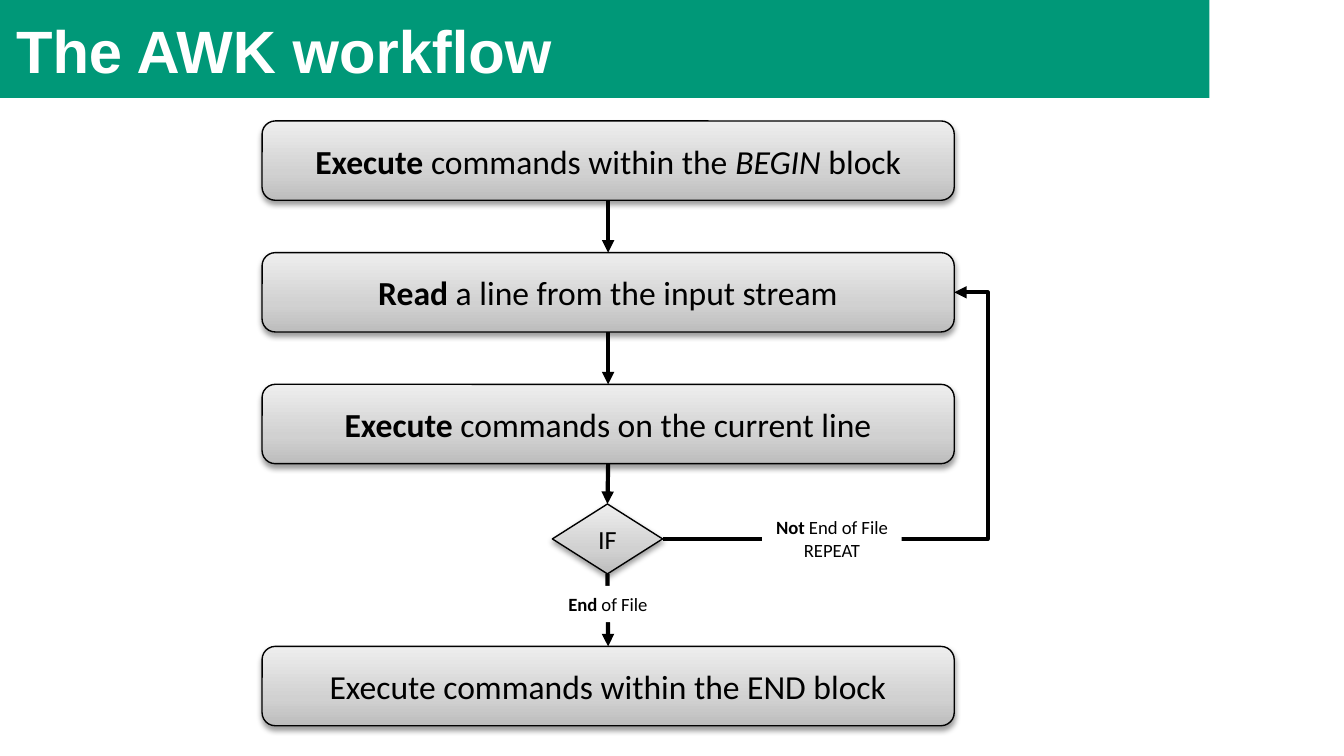
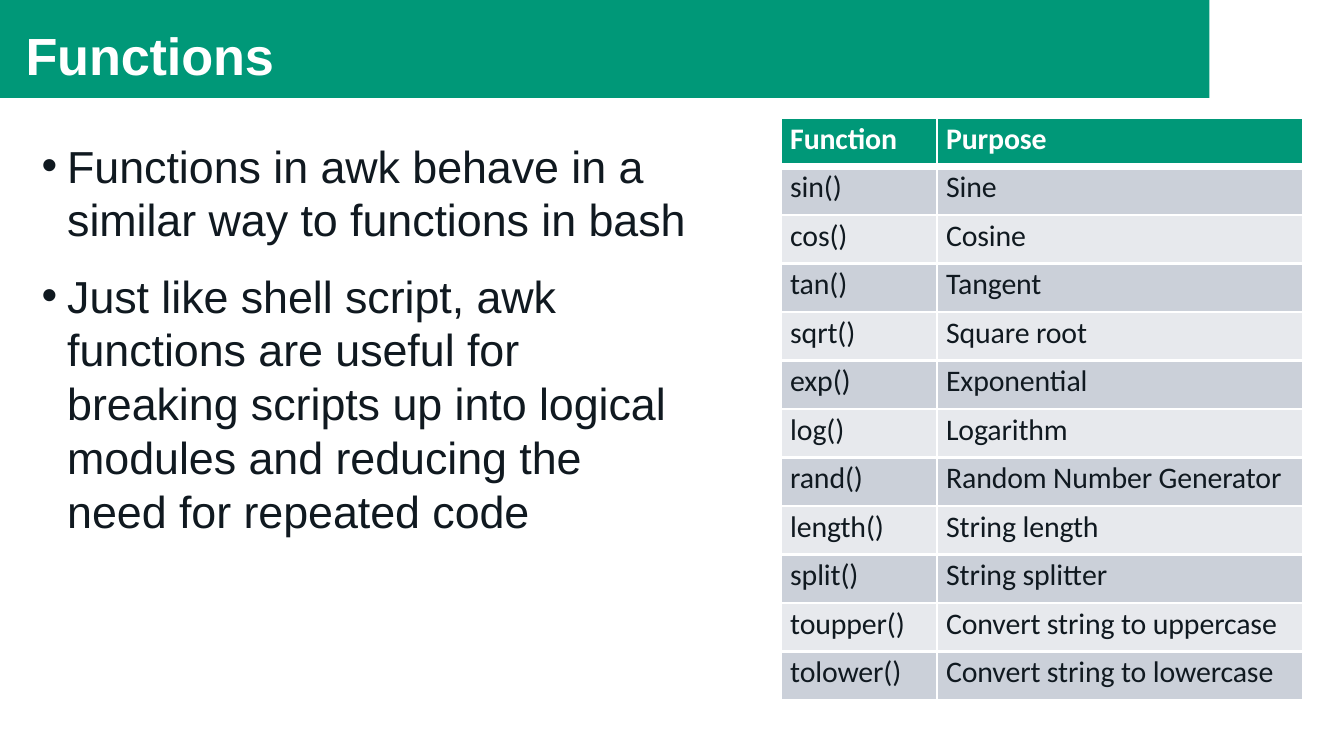
from dataclasses import dataclass
from lxml.etree import SubElement
from pptx import Presentation
from pptx.dml.color import RGBColor
from pptx.enum.shapes import MSO_CONNECTOR, MSO_SHAPE
from pptx.enum.text import MSO_ANCHOR, MSO_AUTO_SIZE, PP_ALIGN
from pptx.oxml import parse_xml
from pptx.oxml.ns import nsdecls, qn
from pptx.util import Inches, Pt


@dataclass(frozen=True)
class Theme:
    green: str = "009878"
    white: str = "FFFFFF"
    black: str = "000000"
    ink: str = "101920"
    dark: str = "CBD0D9"
    light: str = "E7E9ED"
    ramp: tuple = ((0, "BDBDBD"), (35, "D1D1D1"), (100, "EEEEEE"))
    head: str = "Arial"
    body: str = "Calibri"
    step: int = 18
    gate: int = 14
    note: int = 10
    cell: int = 16
    list: int = 24


T = Theme()

# Each paragraph is a list of (text, style); style is "", "b" or "i".
STEPS = [
    (0.9, [("Execute", "b"), (" commands within the ", ""), ("BEGIN", "i"), (" block", "")]),
    (1.88, [("Read", "b"), (" a line from the input stream", "")]),
    (2.86, [("Execute", "b"), (" commands on the current line", "")]),
    (4.81, [("Execute commands within the END block", "")]),
]
GATE = [("IF", "")]
AGAIN = [[("Not", "b"), (" End of File", "")], [("REPEAT", "")]]
DONE = [[("End", "b"), (" of File", "")]]

# Text and right indent in inches
POINTS = [
    ("Functions in awk behave in a similar way to functions in bash", 0),
    ("Just like shell script, awk functions are useful for breaking scripts up "
     "into logical modules and reducing the need for repeated code", 0.57),
]
ROWS = [
    ("Function", "Purpose"),
    ("sin()", "Sine"),
    ("cos()", "Cosine"),
    ("tan()", "Tangent"),
    ("sqrt()", "Square root"),
    ("exp()", "Exponential"),
    ("log()", "Logarithm"),
    ("rand()", "Random Number Generator"),
    ("length()", "String length"),
    ("split()", "String splitter"),
    ("toupper()", "Convert string to uppercase"),
    ("tolower()", "Convert string to lowercase"),
]
COLS = (1.16, 2.73)


def rgb(code):
    return RGBColor.from_string(code)


def paint(shape, color):
    shape.shadow.inherit = False
    shape.fill.solid()
    shape.fill.fore_color.rgb = rgb(color)
    shape.line.fill.background()


def write(frame, paras, size, font, color, align=PP_ALIGN.LEFT, tight=0):
    """Fill a frame with styled runs; tight is letter spacing in 1/100 pt."""
    for i, parts in enumerate(paras):
        para = frame.paragraphs[0] if i == 0 else frame.add_paragraph()
        para.alignment = align
        for text, style in parts:
            run = para.add_run()
            run.text = text
            run.font.size = Pt(size)
            run.font.name = font
            run.font.color.rgb = rgb(color)
            run.font.bold = style == "b"
            run.font.italic = style == "i"
            if tight:
                run.font._element.set("spc", str(tight))


def text_box(slide, left, top, width, height, inset=0.0):
    box = slide.shapes.add_textbox(Inches(left), Inches(top), Inches(width), Inches(height))
    frame = box.text_frame
    frame.word_wrap = True
    frame.auto_size = MSO_AUTO_SIZE.SHAPE_TO_FIT_TEXT
    frame.margin_left = frame.margin_right = frame.margin_bottom = 0
    frame.margin_top = Inches(inset)
    return frame


def start(deck, title, at, size, inset=0.0, before=0, tight=0):
    """Add a slide with the green band and its title."""
    slide = deck.slides.add_slide(deck.slide_layouts[6])
    band = slide.shapes.add_shape(MSO_SHAPE.RECTANGLE, 0, 0, Inches(9), Inches(0.73))
    paint(band, T.green)
    frame = text_box(slide, *at, inset)
    write(frame, [[(title, "b")]], size, T.head, T.white, tight=tight)
    frame.paragraphs[0].space_before = Pt(before)
    return slide


def node(slide, kind, at, parts, size):
    """Add a grey gradient flow shape with a soft shadow."""
    shape = slide.shapes.add_shape(kind, *map(Inches, at))
    shape.line.color.rgb = rgb(T.black)
    shape.line.width = Pt(0.75)
    shape.fill.background()
    props = shape._element.spPr
    stops = "".join(f'<a:gs pos="{pos * 1000}"><a:srgbClr val="{color}"/></a:gs>'
                    for pos, color in T.ramp)
    grad = parse_xml(f'<a:gradFill {nsdecls("a")} rotWithShape="1"><a:gsLst>{stops}</a:gsLst>'
                     '<a:lin ang="16200000" scaled="0"/></a:gradFill>')
    props.replace(props.find(qn("a:noFill")), grad)
    props.append(parse_xml(
        f'<a:effectLst {nsdecls("a")}><a:outerShdw blurRad="40000" dist="20000" dir="5400000" '
        f'rotWithShape="0"><a:srgbClr val="{T.black}"><a:alpha val="38000"/></a:srgbClr>'
        '</a:outerShdw></a:effectLst>'))
    frame = shape.text_frame
    frame.word_wrap = True
    frame.vertical_anchor = MSO_ANCHOR.MIDDLE
    write(frame, [parts], size, T.body, T.black, PP_ALIGN.CENTER)
    return shape


def arrow(slide, kind, *ends):
    link = slide.shapes.add_connector(kind, *ends)
    link.line.color.rgb = rgb(T.black)
    link.line.width = Pt(2.25)
    SubElement(link.line._get_or_add_ln(), qn("a:tailEnd"), type="triangle")
    SubElement(link._element.spPr, qn("a:effectLst"))
    return link


def label(slide, at, paras, align):
    box = slide.shapes.add_shape(MSO_SHAPE.RECTANGLE, *map(Inches, at))
    paint(box, T.white)
    frame = box.text_frame
    frame.word_wrap = False
    frame.auto_size = MSO_AUTO_SIZE.SHAPE_TO_FIT_TEXT
    frame.vertical_anchor = MSO_ANCHOR.TOP
    write(frame, paras, T.note, T.body, T.black, align)


def flow(deck):
    slide = start(deck, "The AWK workflow", (0.12, 0.1, 4.67, 0.59), 32)
    first, read, run, last = [
        node(slide, MSO_SHAPE.ROUNDED_RECTANGLE, (1.95, top, 5.15, 0.59), parts, T.step)
        for top, parts in STEPS]
    gate = node(slide, MSO_SHAPE.FLOWCHART_DECISION, (4.11, 3.75, 0.82, 0.52), GATE, T.gate)
    chain = [first, read, run, gate, last]
    for above, below in zip(chain, chain[1:]):
        link = arrow(slide, MSO_CONNECTOR.STRAIGHT, 0, 0, 0, 0)
        link.begin_connect(above, 2)
        link.end_connect(below, 0)
    loop = arrow(slide, MSO_CONNECTOR.ELBOW,
                 gate.left + gate.width, gate.top + gate.height // 2,
                 read.left + read.width, read.top + read.height // 2)
    guides = loop._element.spPr.find(qn("a:prstGeom")).get_or_add_avLst()
    SubElement(guides, qn("a:gd"), name="adj1", fmla="val 111500")
    label(slide, (5.67, 3.79, 1.04, 0.44), AGAIN, PP_ALIGN.CENTER)
    label(slide, (4.13, 4.36, 0.79, 0.27), DONE, PP_ALIGN.LEFT)


def bullets(slide):
    frame = text_box(slide, 0.3, 1.02, 5.32, 3.01, 0.01)
    write(frame, [[(text, "")] for text, _ in POINTS], T.list, T.head, T.ink, tight=-3)
    for para, (_, right) in zip(frame.paragraphs, POINTS):
        para.space_after = Pt(12)
        props = para._p.get_or_add_pPr()
        props.set("marL", str(Inches(0.2)))
        props.set("marR", str(Inches(right)))
        props.set("indent", str(Inches(-0.19)))
        SubElement(props, qn("a:buFont"), typeface=T.head)
        SubElement(props, qn("a:buChar"), char="•")


def edge(cell, side, width):
    line = SubElement(cell._tc.get_or_add_tcPr(), qn(f"a:ln{side}"), w=str(Pt(width)))
    fill = SubElement(line, qn("a:solidFill"))
    SubElement(fill, qn("a:srgbClr"), val=T.white)


def grid(slide):
    high = Inches(4.33)
    table = slide.shapes.add_table(len(ROWS), len(COLS), Inches(5.81), Inches(0.88),
                                   Inches(sum(COLS)), high).table
    for col, width in zip(table.columns, COLS):
        col.width = Inches(width)
    for r, row in enumerate(ROWS):
        table.rows[r].height = high // len(ROWS)
        back = T.green if r == 0 else T.dark if r % 2 else T.light
        for c, text in enumerate(row):
            cell = table.cell(r, c)
            cell.margin_left, cell.margin_top = Inches(0.07), Inches(0.02)
            cell.margin_right = cell.margin_bottom = 0
            for side in "LRTB":
                thick = (r, side) in ((0, "B"), (1, "T"))
                edge(cell, side, 4.25 if thick else 1.5)
            cell.fill.solid()
            cell.fill.fore_color.rgb = rgb(back)
            write(cell.text_frame, [[(text, "" if r else "b")]], T.cell, T.body,
                  T.ink if r else T.white, tight=-5)
            cell.text_frame.paragraphs[0].space_before = Pt(1.7)


def main():
    deck = Presentation()
    deck.slide_width = Inches(10)
    deck.slide_height = deck.slide_width * 9 // 16
    flow(deck)
    slide = start(deck, "Functions", (0.19, 0.16, 2.9, 0.49), 28, 0.01, 1, -5)
    bullets(slide)
    grid(slide)
    deck.save("out.pptx")


if __name__ == "__main__":
    main()
